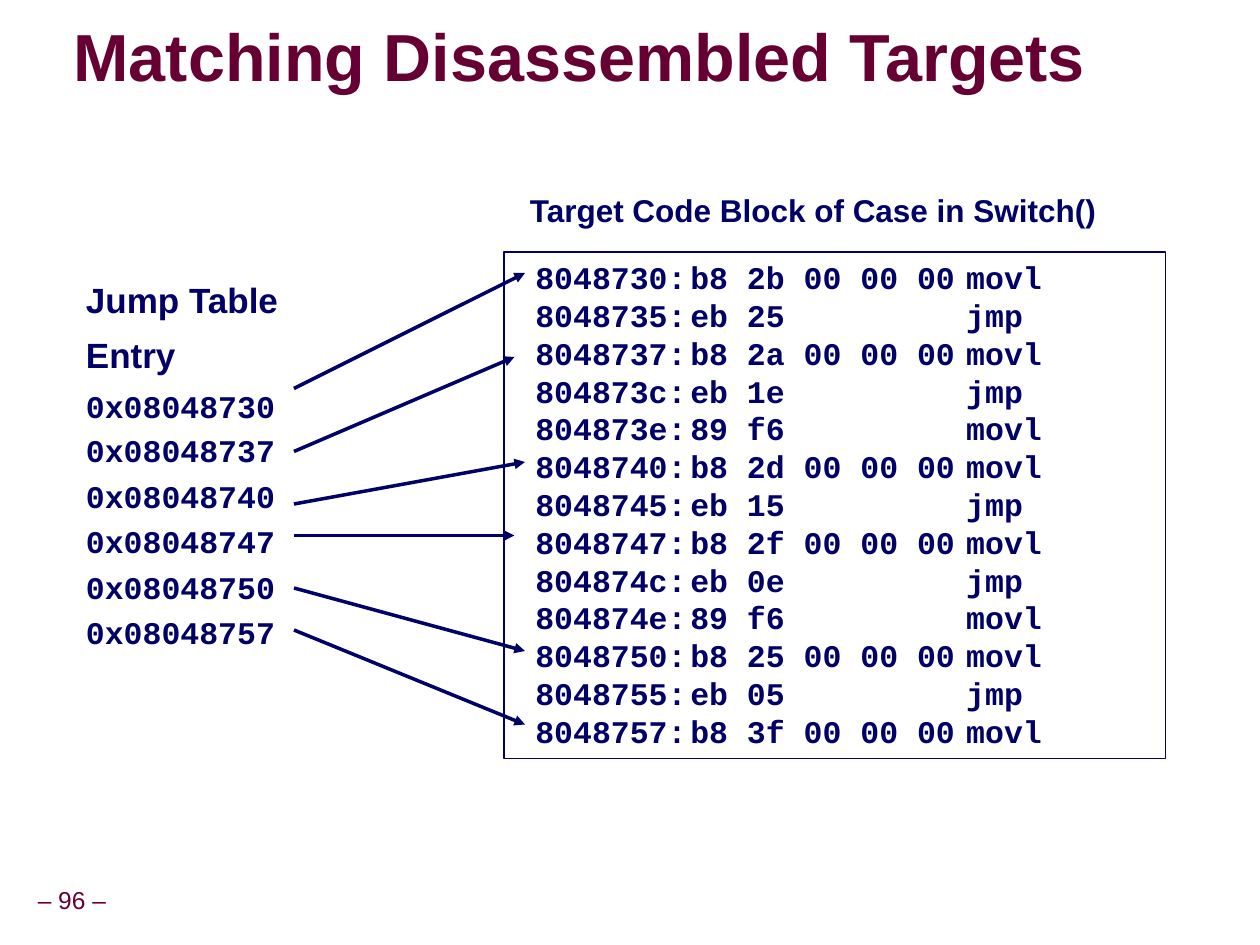
from lxml import etree
from pptx import Presentation
from pptx.dml.color import RGBColor
from pptx.enum.shapes import MSO_CONNECTOR as Line, MSO_SHAPE as Shape
from pptx.enum.text import MSO_ANCHOR as Anchor, PP_ALIGN as Align
from pptx.oxml import parse_xml
from pptx.oxml.ns import nsdecls, qn
from pptx.util import Inches, Pt

NAVY = RGBColor(0x00, 0x00, 0x66)
MAROON = RGBColor(0x66, 0x00, 0x33)
SANS, MONO = "Arial", "Courier New"
GRID = Inches(1) // 12  # the diagram sits on a grid of twelfths of an inch
CODE_TABS = (1.38, 3.57)

CODE = [
    ("8048730", "b8 2b 00 00 00", "movl"),
    ("8048735", "eb 25", "jmp"),
    ("8048737", "b8 2a 00 00 00", "movl"),
    ("804873c", "eb 1e", "jmp"),
    ("804873e", "89 f6", "movl"),
    ("8048740", "b8 2d 00 00 00", "movl"),
    ("8048745", "eb 15", "jmp"),
    ("8048747", "b8 2f 00 00 00", "movl"),
    ("804874c", "eb 0e", "jmp"),
    ("804874e", "89 f6", "movl"),
    ("8048750", "b8 25 00 00 00", "movl"),
    ("8048755", "eb 05", "jmp"),
    ("8048757", "b8 3f 00 00 00", "movl"),
]
ENTRIES = ["0x08048730", "0x08048737", "0x08048740",
           "0x08048747", "0x08048750", "0x08048757"]
ARROW_LEFT = 28
# start row, end column, end row, in grid steps
ARROWS = [(37, 50, 26), (43, 49, 34), (48, 50, 44),
          (51, 49, 51), (56, 50, 62), (60, 50, 69)]


def cells(*steps):
    return [round(step * GRID) for step in steps]


def add_line(frame, text, size, font=SANS, color=NAVY, bold=True,
             align=Align.LEFT, spacing=1.0, before=0):
    """Write one paragraph, using the empty first one if it is still free."""
    first = frame.paragraphs[0]
    para = frame.add_paragraph() if first.runs else first
    para.alignment, para.line_spacing = align, spacing
    para.space_before = Pt(before)
    run = para.add_run()
    run.text = text
    run.font.size, run.font.name, run.font.bold = Pt(size), font, bold
    run.font.color.rgb = color
    return para


def add_text_frame(slide, box, wrap=True, inset=None, anchor=Anchor.TOP):
    frame = slide.shapes.add_textbox(*box).text_frame
    frame.word_wrap, frame.vertical_anchor = wrap, anchor
    if inset is not None:
        frame.margin_left = frame.margin_right = Inches(inset)
        frame.margin_top = frame.margin_bottom = Inches(inset)
    return frame


def add_title(slide, box):
    frame = add_text_frame(slide, box, inset=0, anchor=Anchor.MIDDLE)
    para = add_line(frame, "Matching Disassembled Targets", 38,
                    color=MAROON, spacing=0.87)
    para.runs[0].font._element.insert(1, parse_xml(
        f'<a:effectLst {nsdecls("a")}><a:outerShdw blurRad="38100" dist="38100" '
        'dir="2700000" algn="tl"><a:srgbClr val="000000"><a:alpha val="43000"/>'
        '</a:srgbClr></a:outerShdw></a:effectLst>'))


def add_page_number(slide, box):
    frame = add_text_frame(slide, box, wrap=False, inset=0.05, anchor=Anchor.MIDDLE)
    add_line(frame, "– 96 –", 14, color=MAROON, bold=False,
             align=Align.CENTER, spacing=0.9)


def set_tabs(para, stops):
    tabs = etree.SubElement(para._p.get_or_add_pPr(), qn("a:tabLst"))
    for stop in stops:
        etree.SubElement(tabs, qn("a:tab"), pos=str(Inches(stop)), algn="l")


def add_code_block(slide, box):
    block = slide.shapes.add_shape(Shape.RECTANGLE, *box)
    block.shadow.inherit = False
    block.fill.background()
    block.line.color.rgb, block.line.width = NAVY, Pt(1)
    frame = block.text_frame
    frame.word_wrap, frame.vertical_anchor = True, Anchor.TOP
    for address, code, mnemonic in CODE:
        para = add_line(frame, f" {address}:\t{code}\t{mnemonic}", 18, MONO)
        set_tabs(para, CODE_TABS)


def add_code_heading(slide, box):
    frame = add_text_frame(slide, box, wrap=False)
    add_line(frame, "Target Code Block of Case in Switch()", 18,
             align=Align.CENTER, spacing=0.9)


def add_jump_table(slide, box):
    frame = add_text_frame(slide, box)
    for heading in ("Jump Table", "Entry"):
        add_line(frame, heading, 20, spacing=1.3)
    add_line(frame, ENTRIES[0], 18, MONO, spacing=1.3)
    for entry in ENTRIES[1:]:
        add_line(frame, entry, 18, MONO, spacing=0.9, before=6.5)


def add_arrows(slide):
    for start_row, end_column, end_row in ARROWS:
        arrow = slide.shapes.add_connector(
            Line.STRAIGHT, *cells(ARROW_LEFT, start_row, end_column, end_row))
        arrow.line.color.rgb, arrow.line.width = NAVY, Pt(2)
        etree.SubElement(arrow.line._get_or_add_ln(), qn("a:tailEnd"), type="triangle")
        etree.SubElement(arrow._element.spPr, qn("a:effectLst"))


def main():
    deck = Presentation()
    deck.slide_width, deck.slide_height = Inches(10), Inches(7.5)
    slide = deck.slides.add_slide(deck.slide_layouts[6])
    add_page_number(slide, cells(2.9, 84, 7.9, 3.7))
    add_title(slide, cells(7, 2, 99.7, 7.6))
    add_code_block(slide, cells(48, 24, 63, 48.25))
    add_jump_table(slide, cells(7, 24.75, 39, 38.25))
    add_arrows(slide)
    add_code_heading(slide, cells(49, 18, 56.9, 4.5))
    deck.save("out.pptx")


if __name__ == "__main__":
    main()
